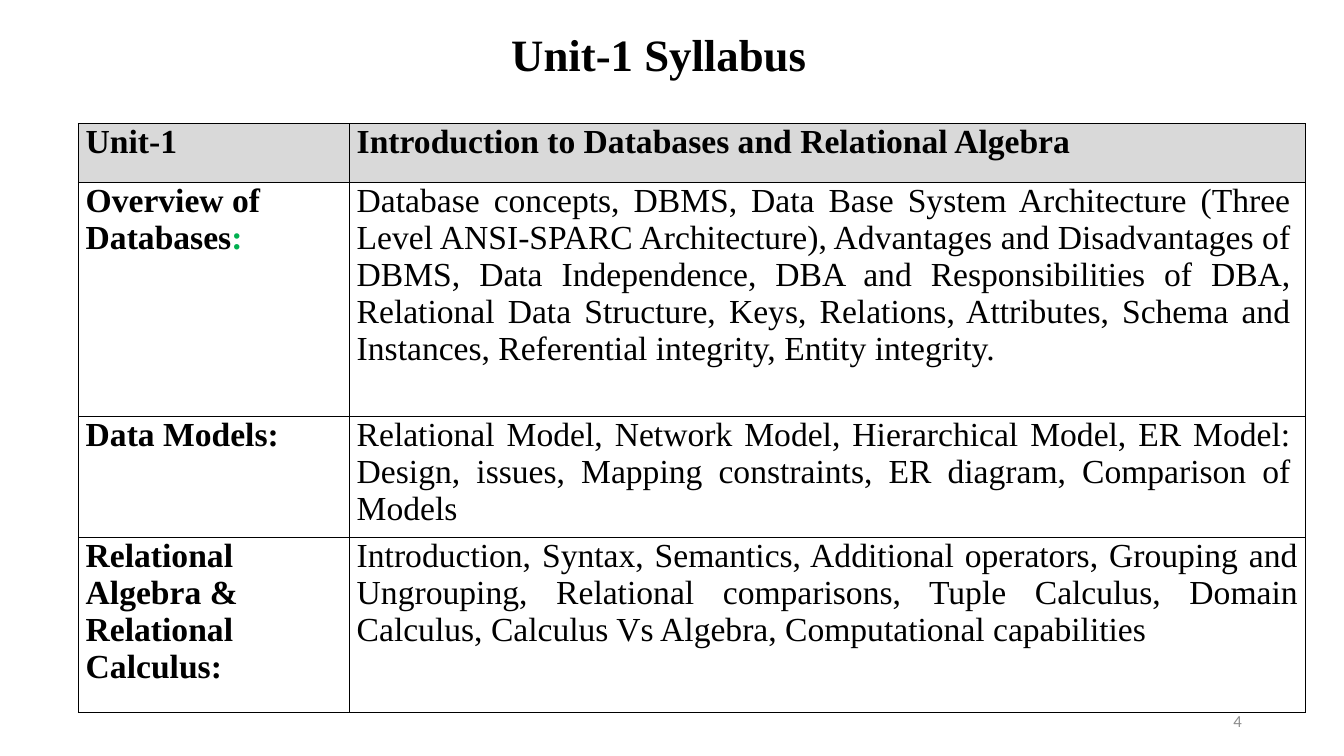
import pptx
import pptx.util
import pptx.dml.color
import pptx.enum.text
import pptx.oxml
import pptx.oxml.ns
from pptx.util import Cm

COLOURS = {"text": "000000", "header": "D9D9D9", "accent": "00B050", "number": "8C8C8C"}
SERIF = "Times New Roman"
TITLE = "Unit-1 Syllabus"
PAGE_NUMBER = "4"
ROWS = [
    ("Unit-1", "Introduction to Databases and Relational Algebra"),
    ("Overview of Databases:",
     "Database concepts, DBMS, Data Base System Architecture (Three Level ANSI-SPARC "
     "Architecture), Advantages and Disadvantages of DBMS, Data Independence, DBA and "
     "Responsibilities of DBA, Relational Data Structure, Keys, Relations, Attributes, "
     "Schema and Instances, Referential integrity, Entity integrity."),
    ("Data Models:",
     "Relational Model, Network Model, Hierarchical Model, ER Model: Design, issues, "
     "Mapping constraints, ER diagram, Comparison of Models"),
    ("Relational Algebra & Relational Calculus:",
     "Introduction, Syntax, Semantics, Additional operators, Grouping and Ungrouping, "
     "Relational comparisons, Tuple Calculus, Domain Calculus, Calculus Vs Algebra, "
     "Computational capabilities"),
]
ACCENT_ROW = 1
INDENTED_ROWS = (1, 2)
COLUMN_WIDTHS = (6.83, 24.08)
ROW_HEIGHTS = (1.47, 5.9, 2.95, 4.42)
CELL_MARGIN = 0.18
ALIGN = pptx.enum.text.PP_ALIGN


def colour(name):
    return pptx.dml.color.RGBColor.from_string(COLOURS[name])


def style(font, size, name, colour_name, bold=False):
    font.size = pptx.util.Pt(size)
    font.name = name
    font.bold = bold
    font.color.rgb = colour(colour_name)


def add_text(slide, box, text, alignment):
    frame = slide.shapes.add_textbox(*map(Cm, box)).text_frame
    frame.word_wrap = True
    frame.vertical_anchor = pptx.enum.text.MSO_ANCHOR.MIDDLE
    paragraph = frame.paragraphs[0]
    paragraph.text = text
    paragraph.alignment = alignment
    return paragraph


def add_borders(cell):
    properties = cell._tc.get_or_add_tcPr()
    for position, side in enumerate(("lnL", "lnR", "lnT", "lnB")):
        line = pptx.oxml.parse_xml(
            f'<a:{side} {pptx.oxml.ns.nsdecls("a")} w="12700"><a:solidFill>'
            f'<a:srgbClr val="{COLOURS["text"]}"/></a:solidFill></a:{side}>')
        properties.insert(position, line)


def fill_cell(cell, text, row, column):
    header = row == 0
    cell.margin_left = Cm(CELL_MARGIN)
    cell.margin_right = Cm(CELL_MARGIN * (2 if column and row in INDENTED_ROWS else 1))
    cell.margin_top = cell.margin_bottom = 0
    if header:
        cell.fill.solid()
        cell.fill.fore_color.rgb = colour("header")
    else:
        cell.fill.background()
    paragraph = cell.text_frame.paragraphs[0]
    paragraph.alignment = ALIGN.JUSTIFY if header or column else ALIGN.LEFT
    bold = header or column == 0
    if row == ACCENT_ROW and column == 0:
        for part, colour_name in ((text[:-1], "text"), (text[-1], "accent")):
            run = paragraph.add_run()
            run.text = part
            style(run.font, 24, SERIF, colour_name, bold)
    else:
        paragraph.text = text
        style(paragraph.font, 24, SERIF, "text", bold)
    add_borders(cell)


def main():
    presentation = pptx.Presentation()
    presentation.slide_width, presentation.slide_height = Cm(33.87), Cm(19.05)
    slide = presentation.slides.add_slide(presentation.slide_layouts[6])

    title = add_text(slide, (2, 0.25, 29.21, 2.39), TITLE, ALIGN.CENTER)
    title.line_spacing = 0.9
    style(title.font, 32, SERIF, "text", True)

    number = add_text(slide, (23.93, 17.65, 7.62, 1.02), PAGE_NUMBER, ALIGN.RIGHT)
    style(number.font, 12, "Calibri", "number")

    table = slide.shapes.add_table(
        len(ROWS), len(COLUMN_WIDTHS), Cm(1.98), Cm(3.12),
        Cm(sum(COLUMN_WIDTHS)), Cm(sum(ROW_HEIGHTS))).table
    for column, width in zip(table.columns, COLUMN_WIDTHS):
        column.width = Cm(width)
    for row, height in zip(table.rows, ROW_HEIGHTS):
        row.height = Cm(height)
    for row, texts in enumerate(ROWS):
        for column, text in enumerate(texts):
            fill_cell(table.cell(row, column), text, row, column)

    presentation.save("out.pptx")


if __name__ == "__main__":
    main()
